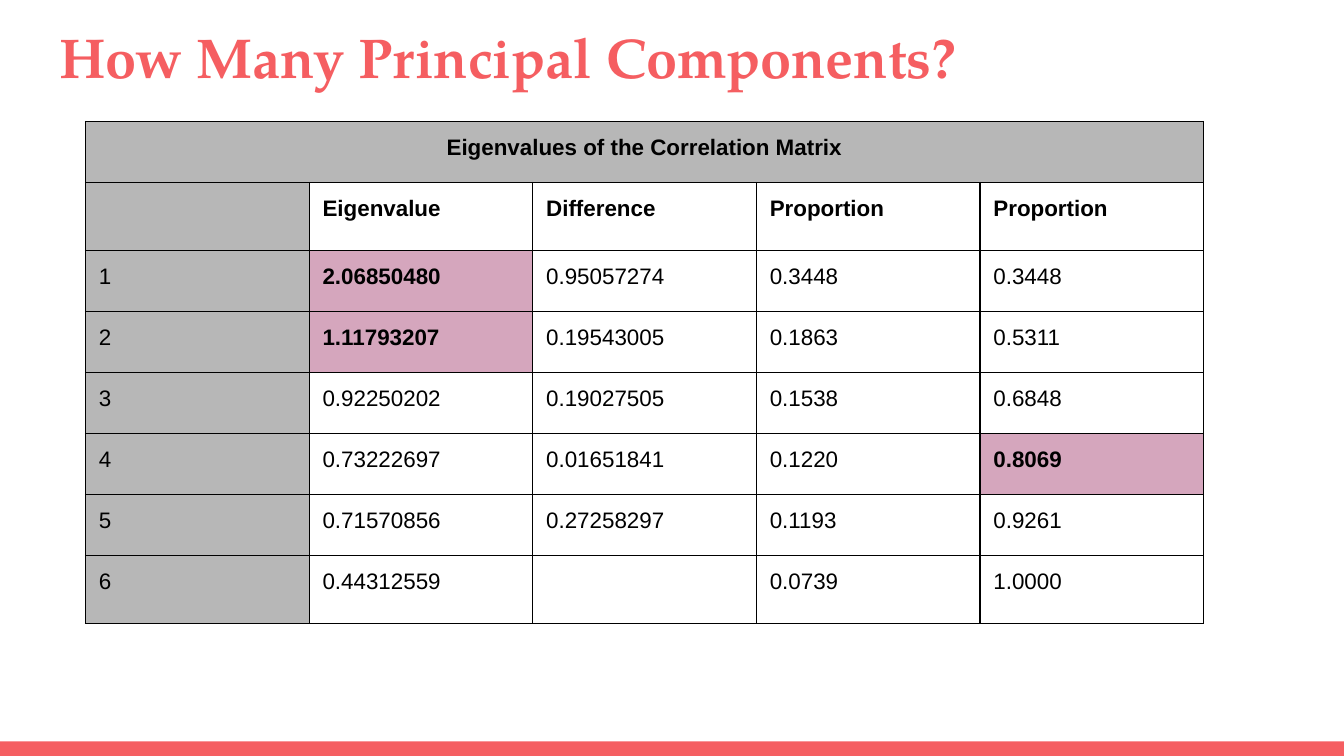
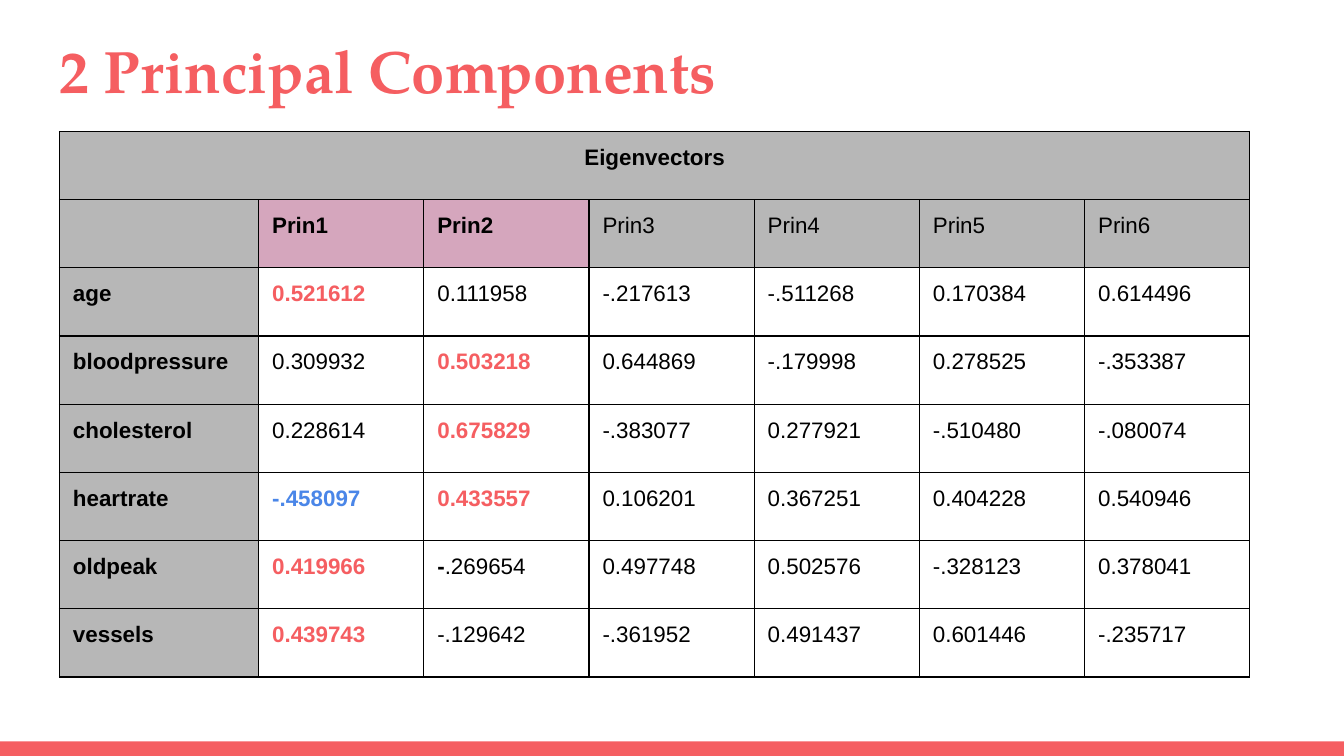
from lxml import etree
from pptx import Presentation
from pptx.dml.color import RGBColor
from pptx.enum.shapes import MSO_SHAPE
from pptx.enum.text import MSO_ANCHOR, MSO_AUTO_SIZE, PP_ALIGN
from pptx.oxml.ns import qn
from pptx.util import Pt

COLORS = {
    "coral": "F55E61",
    "blue": "4A86E8",
    "black": "000000",
    "gray": "B7B7B7",
    "pink": "D5A6BD",
}
TITLE_FONT = "TeX Gyre Pagella"
BODY_FONT = "Arial"
WIDTH, HEIGHT = 720, 405
INSET = 7.2

EIGENVALUES = [
    ["Eigenvalues of the Correlation Matrix", "", "", "", ""],
    ["", "Eigenvalue", "Difference", "Proportion", "Proportion"],
    ["1", "2.06850480", "0.95057274", "0.3448", "0.3448"],
    ["2", "1.11793207", "0.19543005", "0.1863", "0.5311"],
    ["3", "0.92250202", "0.19027505", "0.1538", "0.6848"],
    ["4", "0.73222697", "0.01651841", "0.1220", "0.8069"],
    ["5", "0.71570856", "0.27258297", "0.1193", "0.9261"],
    ["6", "0.44312559", "", "0.0739", "1.0000"],
]
EIGENVECTORS = [
    ["Eigenvectors", "", "", "", "", "", ""],
    ["", "Prin1", "Prin2", "Prin3", "Prin4", "Prin5", "Prin6"],
    ["age", "0.521612", "0.111958", "-.217613", "-.511268", "0.170384", "0.614496"],
    ["bloodpressure", "0.309932", "0.503218", "0.644869", "-.179998", "0.278525", "-.353387"],
    ["cholesterol", "0.228614", "0.675829", "-.383077", "0.277921", "-.510480", "-.080074"],
    ["heartrate", "-.458097", "0.433557", "0.106201", "0.367251", "0.404228", "0.540946"],
    ["oldpeak", "0.419966", "-.269654", "0.497748", "0.502576", "-.328123", "0.378041"],
    ["vessels", "0.439743", "-.129642", "-.361952", "0.491437", "0.601446", "-.235717"],
]


def rgb(color):
    """Return the named palette colour."""
    return RGBColor.from_string(COLORS[color])


def write(paragraph, text, *, font=BODY_FONT, size=12, color="black", bold=False, align=PP_ALIGN.LEFT):
    """Add a formatted run to a paragraph."""
    paragraph.alignment = align
    run = paragraph.add_run()
    run.text = text
    run.font.name = font
    run.font.size = Pt(size)
    run.font.bold = bold
    run.font.color.rgb = rgb(color)


def set_insets(frame):
    """Give a text frame or table cell equal margins."""
    frame.margin_left = frame.margin_right = Pt(INSET)
    frame.margin_top = frame.margin_bottom = Pt(INSET)


def add_borders(cell):
    """Draw a thin line on every side of a table cell."""
    properties = cell._tc.get_or_add_tcPr()
    for side in ("a:lnL", "a:lnR", "a:lnT", "a:lnB"):
        line = etree.SubElement(properties, qn(side), w=str(Pt(0.75)))
        fill = etree.SubElement(line, qn("a:solidFill"))
        etree.SubElement(fill, qn("a:srgbClr"), val=COLORS["black"])


class Deck:
    """Holds the shared style and the current slide."""

    def __init__(self):
        """Start an empty presentation."""
        self.presentation = Presentation()
        self.presentation.slide_width = Pt(WIDTH)
        self.presentation.slide_height = Pt(HEIGHT)
        self.slide = None

    def new_slide(self):
        """Begin a title-only slide with the bottom band."""
        self.slide = self.presentation.slides.add_slide(self.presentation.slide_layouts[5])
        band = self.slide.shapes.add_shape(MSO_SHAPE.RECTANGLE, 0, Pt(397.2), Pt(WIDTH), Pt(7.8))
        band.shadow.inherit = False
        band.fill.solid()
        band.fill.fore_color.rgb = rgb("coral")
        band.line.fill.background()

    def title(self, text, top, height, size):
        """Place and format the slide title."""
        title = self.slide.shapes.title
        title.left, title.top, title.width, title.height = Pt(24.5), Pt(top), Pt(671), Pt(height)
        frame = title.text_frame
        set_insets(frame)
        frame.word_wrap = True
        frame.auto_size = MSO_AUTO_SIZE.NONE
        frame.vertical_anchor = MSO_ANCHOR.TOP
        write(frame.paragraphs[0], text, font=TITLE_FONT, size=size, color="coral", bold=True)

    def table(self, rows, left, top, widths, row_height, *, fills, bold, colors=None, bold_signs=()):
        """Add a bordered table with a merged heading; formats are keyed by (row, column)."""
        colors = colors or {}
        table = self.slide.shapes.add_table(
            len(rows), len(widths), Pt(left), Pt(top), Pt(sum(widths)), Pt(row_height * len(rows))
        ).table
        table.first_row = table.horz_banding = False
        for column, width in zip(table.columns, widths):
            column.width = Pt(width)
        for row in table.rows:
            row.height = Pt(row_height)
        table.cell(0, 0).merge(table.cell(0, len(widths) - 1))
        for r, values in enumerate(rows):
            for c, value in enumerate(values):
                spot = (r, c)
                cell = table.cell(r, c)
                set_insets(cell)
                add_borders(cell)
                fill = fills.get(spot, "gray" if r == 0 or c == 0 else None)
                if fill:
                    cell.fill.solid()
                    cell.fill.fore_color.rgb = rgb(fill)
                else:
                    cell.fill.background()
                if not value:
                    continue
                paragraph = cell.text_frame.paragraphs[0]
                style = {
                    "color": colors.get(spot, "black"),
                    "align": PP_ALIGN.CENTER if r == 0 else PP_ALIGN.LEFT,
                }
                if spot in bold_signs:
                    write(paragraph, value[0], bold=True, **style)
                    value = value[1:]
                write(paragraph, value, bold=r == 0 or spot in bold, **style)


def main():
    """Build both slides and save them."""
    deck = Deck()

    deck.new_slide()
    deck.title("How Many Principal Components?", 5, 82, 30)
    chosen = {(2, 1): "pink", (3, 1): "pink", (5, 4): "pink"}
    headings = {(1, c) for c in range(1, 5)}
    deck.table(EIGENVALUES, 45.8, 65.1, [119.8] * 5, 32.7, fills=chosen, bold=headings | set(chosen))

    deck.new_slide()
    deck.title("2 Principal Components", 10.8, 49, 32)
    kept = {(1, 1): "pink", (1, 2): "pink"}
    header_fills = {(1, c): "gray" for c in range(3, 7)} | kept
    loadings = {spot: "coral" for spot in [(2, 1), (3, 2), (4, 2), (5, 2), (6, 1), (7, 1)]}
    loadings[5, 1] = "blue"
    variables = {(r, 0) for r in range(2, 8)}
    deck.table(
        EIGENVECTORS, 31.9, 70.4, [106.7] + [88.5] * 6, 36.56,
        fills=header_fills, bold=set(kept) | set(loadings) | variables,
        colors=loadings, bold_signs={(6, 2)},
    )

    deck.presentation.save("out.pptx")


if __name__ == "__main__":
    main()
